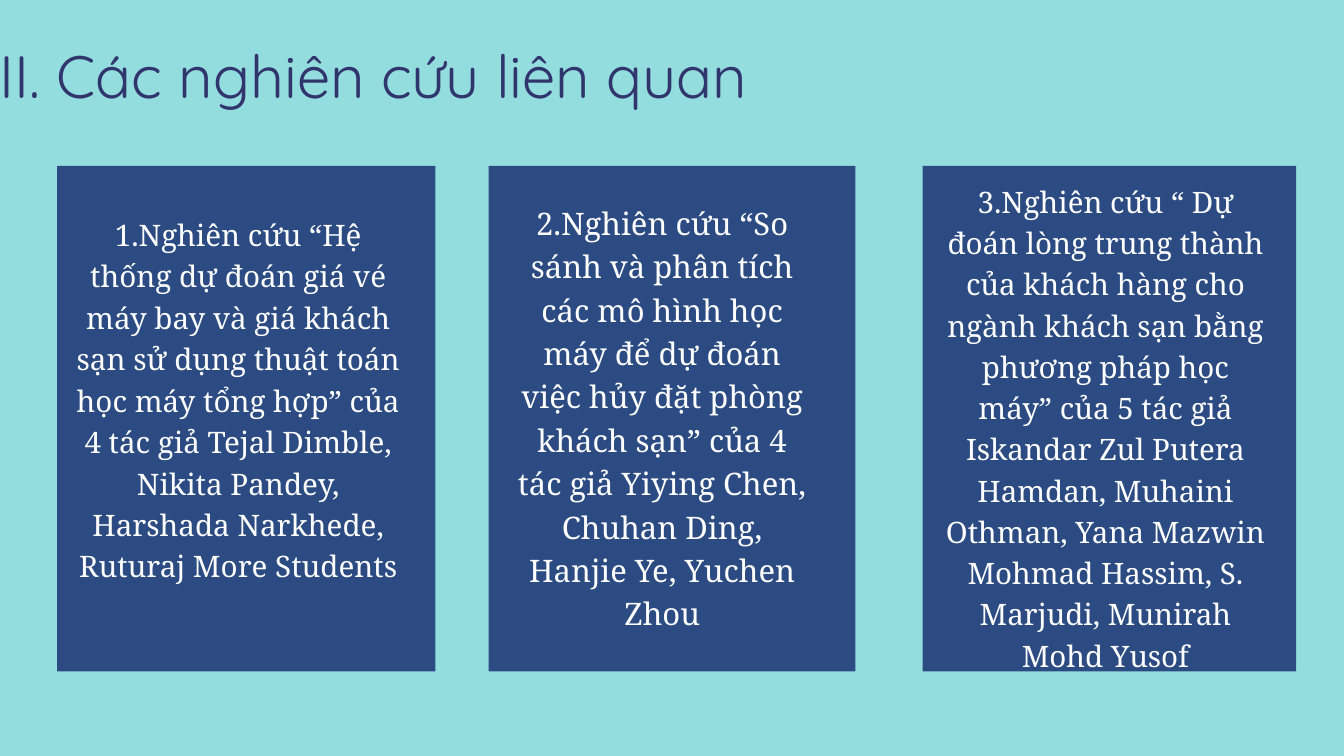
from pptx import Presentation
from pptx.dml.color import RGBColor
from pptx.enum import shapes, text
from pptx.util import Inches, Pt

COLORS = {"background": "94DDDE", "card": "2B4B82", "title": "31356E", "body": "FEFEFE"}
CARD_TOP, CARD_HEIGHT = 2.47, 7.52

STUDIES = [
    {
        "card": (0.85, CARD_TOP, 5.63, CARD_HEIGHT),
        "inset": (0.27, 0.67, 4.85, 6.13),
        "size": 31.7,
        "spacing": 44.4,
        "content": "1.Nghiên cứu “Hệ thống dự đoán giá vé máy bay và giá khách sạn "
        "sử dụng thuật toán học máy tổng hợp” của 4 tác giả Tejal Dimble, "
        "Nikita Pandey, Harshada Narkhede, Ruturaj More Students",
    },
    {
        "card": (7.27, CARD_TOP, 5.46, CARD_HEIGHT),
        "inset": (0.39, 0.48, 4.39, 7.04),
        "size": 33.2,
        "spacing": 46.5,
        "content": "2.Nghiên cứu “So sánh và phân tích các mô hình học máy để dự đoán "
        "việc hủy đặt phòng khách sạn” của 4 tác giả Yiying Chen, "
        "Chuhan Ding, Hanjie Ye, Yuchen Zhou",
    },
    {
        "card": (13.73, CARD_TOP, 5.56, CARD_HEIGHT),
        "inset": (0.3, 0.18, 4.84, 7.3),
        "size": 31.6,
        "spacing": 44.2,
        "content": "3.Nghiên cứu “ Dự đoán lòng trung thành của khách hàng cho ngành "
        "khách sạn bằng phương pháp học máy” của 5 tác giả Iskandar Zul Putera "
        "Hamdan, Muhaini Othman, Yana Mazwin Mohmad Hassim, S. Marjudi, "
        "Munirah Mohd Yusof",
    },
]


def add_text(slide, box, content, font_name, size, spacing, color, alignment):
    """Place one wrapped paragraph without margins in the box."""
    shape = slide.shapes.add_textbox(*map(Inches, box))
    frame = shape.text_frame
    frame.word_wrap = True
    frame.auto_size = text.MSO_AUTO_SIZE.SHAPE_TO_FIT_TEXT
    frame.margin_left = frame.margin_top = frame.margin_right = frame.margin_bottom = 0
    paragraph = frame.paragraphs[0]
    paragraph.alignment = alignment
    paragraph.line_spacing = Pt(spacing)
    run = paragraph.add_run()
    run.text = content
    run.font.name = font_name
    run.font.size = Pt(size)
    run.font.color.rgb = RGBColor.from_string(COLORS[color])


def add_title(slide, box):
    """Place the slide title in the box."""
    add_text(slide, box, "II. Các nghiên cứu liên quan", "Quicksand", 64, 76.8,
             "title", text.PP_ALIGN.LEFT)


def add_study(slide, box, study):
    """Place a study card in the box with its text inset."""
    card = slide.shapes.add_shape(shapes.MSO_SHAPE.RECTANGLE, *map(Inches, box))
    card.shadow.inherit = False
    card.fill.solid()
    card.fill.fore_color.rgb = RGBColor.from_string(COLORS["card"])
    card.line.fill.background()
    left, top, width, height = study["inset"]
    text_box = (box[0] + left, box[1] + top, width, height)
    add_text(slide, text_box, study["content"], "Noto Serif", study["size"],
             study["spacing"], "body", text.PP_ALIGN.CENTER)


def main():
    """Build and save the related studies slide."""
    presentation = Presentation()
    presentation.slide_width = Inches(20)
    presentation.slide_height = Inches(11.25)
    slide = presentation.slides.add_slide(presentation.slide_layouts[6])
    slide.background.fill.solid()
    slide.background.fill.fore_color.rgb = RGBColor.from_string(COLORS["background"])
    add_title(slide, (0, 0.57, 13.73, 1.08))
    for study in STUDIES:
        add_study(slide, study["card"], study)
    presentation.save("out.pptx")


if __name__ == "__main__":
    main()
